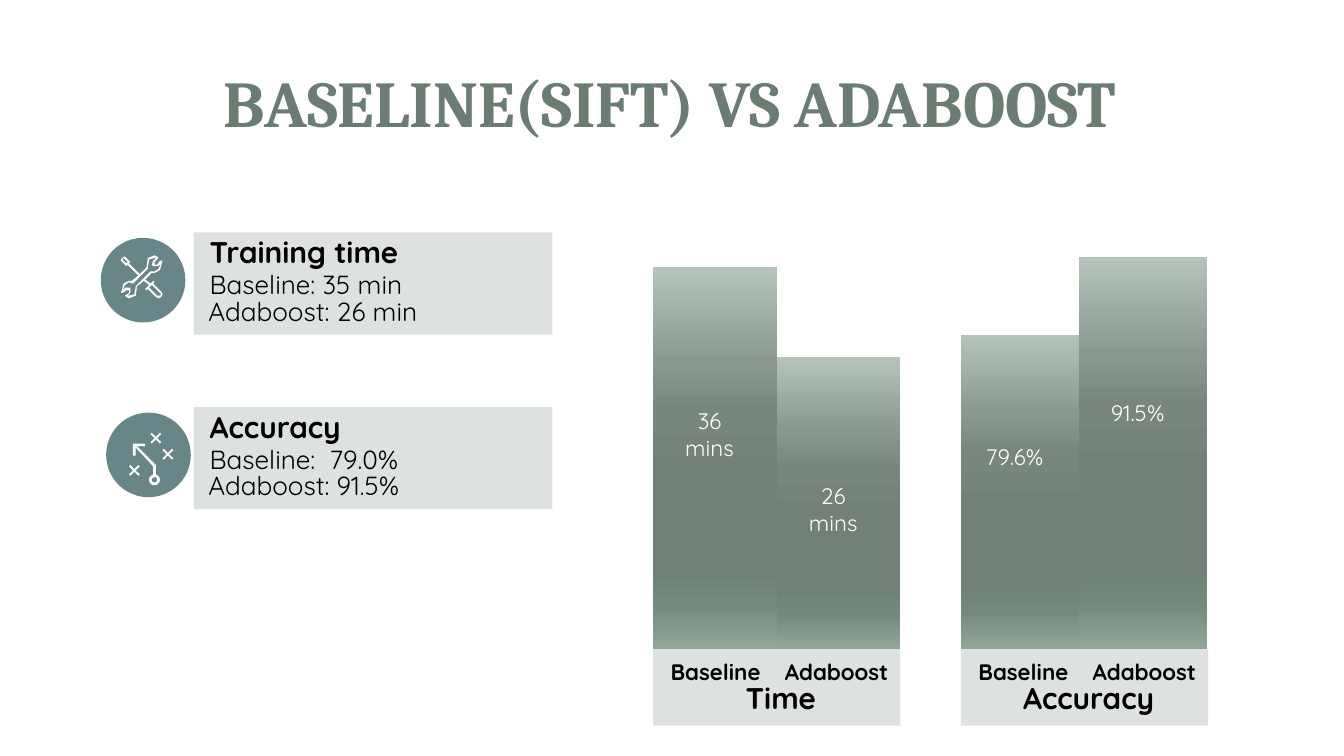
from math import cos, sin, pi
from lxml.etree import SubElement
from pptx import Presentation
from pptx.dml.color import RGBColor
from pptx.enum.shapes import MSO_SHAPE as Kind
from pptx.enum.text import MSO_ANCHOR as Anchor, PP_ALIGN as Align
from pptx.oxml.ns import qn
from pptx.util import Inches, Pt

WHITE = RGBColor(0xFF, 0xFF, 0xFF)
BLACK = RGBColor(0, 0, 0)
GREEN = RGBColor(0x6B, 0x7D, 0x72)
TEAL = RGBColor(0x68, 0x86, 0x87)
PALE = RGBColor(0xBE, 0xC7, 0xC2)
STOPS = [(0, RGBColor(0xB6, 0xC3, 0xBB)), (25, RGBColor(0x8B, 0x98, 0x90)),
         (38, RGBColor(0x79, 0x86, 0x7E)), (55, RGBColor(0x72, 0x80, 0x78)),
         (80, RGBColor(0x70, 0x81, 0x76)), (88, RGBColor(0x75, 0x88, 0x7C)),
         (100, RGBColor(0x91, 0xA7, 0x9A))]
BASE = 4.83  # foot of the bars
UNIT = 1000  # freeform steps to the inch

# Widescreen, 16 to 9
prs = Presentation()
prs.slide_width = Inches(10)
prs.slide_height = Inches(10) * 9 // 16
slide = prs.slides.add_slide(prs.slide_layouts[6])
shapes = slide.shapes


def plain(shape, color, alpha=100):
    """Flat fill, no line, no shadow."""
    shape.shadow.inherit = False
    shape.line.fill.background()
    shape.fill.solid()
    shape.fill.fore_color.rgb = color
    if alpha < 100:
        tint = shape._element.spPr.find(qn("a:solidFill"))[0]
        SubElement(tint, qn("a:alpha")).set("val", str(alpha * 1000))
    return shape


def write(shape, lines, color, font="Quicksand", anchor=Anchor.MIDDLE, top=0):
    """Lines are (text, size, bold, align, left indent in inches)."""
    frame = shape.text_frame
    frame.word_wrap = True
    frame.vertical_anchor = anchor
    frame.margin_left = frame.margin_right = frame.margin_bottom = 0
    frame.margin_top = Inches(top)
    frame.text = "\n".join(line[0] for line in lines)
    for para, (_, size, bold, align, left) in zip(frame.paragraphs, lines):
        para.alignment = align
        if left:
            para.line_spacing = 0.85
            para._p.get_or_add_pPr().set("marL", str(Inches(left)))
        for run in para.runs:
            run.font.name, run.font.size = font, Pt(size)
            run.font.bold = bold
            run.font.color.rgb = color
    return frame.paragraphs


# Title
title = shapes.add_textbox(Inches(0.47), Inches(0.33), Inches(9.03), Inches(0.85))
write(title, [("BASELINE(SIFT) VS ADABOOST", 35, True, Align.CENTER, 0)], GREEN, "Cambria")

# Result cards with round badges
cards = [(1.73, 0.75, 1.77, "Training time", "Baseline: 35 min", "26 min"),
         (3.03, 0.79, 3.07, "Accuracy", "Baseline:  79.0%", "91.5%")]
for y, left, top, head, old, new in cards:
    plain(shapes.add_shape(Kind.OVAL, Inches(left), Inches(top),
                           Inches(0.63), Inches(0.63)), TEAL)
    card = plain(shapes.add_shape(Kind.RECTANGLE, Inches(1.44), Inches(y),
                                  Inches(2.67), Inches(0.76)), PALE, 52)
    paras = write(card, [(head, 16, True, Align.LEFT, 0.12),
                         (old, 14, False, Align.LEFT, 0.12),
                         (f"Adaboost: {new}", 14, False, Align.LEFT, 0.11)],
                  BLACK, anchor=Anchor.TOP, top=0.05)
    paras[1].space_before = Pt(2)

# Tools icon: outline, then the holes in driver, wrench and handle
tools = [
    [(1.2, 2.17), (1.14, 2.11), (1.15, 2.1), (1.14, 2.09), (1.12, 2.11), (1.08, 2.08),
     (1.13, 2.03), (1.15, 2.03), (1.19, 2.01), (1.21, 1.94), (1.19, 1.94), (1.17, 1.97),
     (1.15, 1.97), (1.15, 1.95), (1.18, 1.92), (1.17, 1.91), (1.15, 1.9), (1.1, 1.92),
     (1.09, 1.99), (1.04, 2.04), (0.96, 1.96), (0.97, 1.95), (0.93, 1.91), (0.92, 1.91),
     (0.9, 1.93), (0.9, 1.94), (0.94, 1.98), (0.95, 1.97), (1.03, 2.05), (0.98, 2.09),
     (0.96, 2.09), (0.92, 2.11), (0.9, 2.18), (0.91, 2.18), (0.94, 2.16), (0.96, 2.16),
     (0.96, 2.18), (0.93, 2.2), (0.94, 2.21), (0.96, 2.22), (1.01, 2.2), (1.02, 2.13),
     (1.07, 2.09), (1.11, 2.12), (1.08, 2.15), (1.09, 2.16), (1.1, 2.15), (1.16, 2.21),
     (1.18, 2.22), (1.2, 2.21), (1.21, 2.19)],
    [(0.94, 1.96), (0.91, 1.93), (0.92, 1.92), (0.95, 1.95)],
    [(1.01, 2.13), (1, 2.19), (0.96, 2.2), (0.95, 2.2), (0.97, 2.18), (0.97, 2.14),
     (0.93, 2.14), (0.91, 2.16), (0.93, 2.12), (0.96, 2.1), (0.99, 2.11), (1.1, 2),
     (1.1, 1.99), (1.11, 1.93), (1.15, 1.92), (1.16, 1.92), (1.14, 1.94), (1.13, 1.97),
     (1.14, 1.98), (1.17, 1.98), (1.18, 1.98), (1.2, 1.96), (1.18, 2), (1.15, 2.02),
     (1.12, 2.02)],
    [(1.19, 2.2), (1.17, 2.2), (1.11, 2.14), (1.13, 2.12), (1.19, 2.18), (1.2, 2.19)],
]

# Tactics icon: bent arrow, ring and three crosses
tactics = [[(1.14, 3.53), (1.14, 3.47), (1.01, 3.33), (1.01, 3.39), (0.99, 3.39),
            (0.99, 3.3), (1.08, 3.3), (1.08, 3.32), (1.02, 3.32), (1.16, 3.46), (1.16, 3.53)]]
for r in (0.04, 0.02):
    tactics.append([(1.15 + r * cos(k * pi / 12), 3.57 + r * sin(k * pi / 12))
                    for k in range(24)])
arm = [(0, -0.01), (0.03, -0.04), (0.04, -0.03)]
for x, y in [(1, 3.5), (1.25, 3.38), (1.16, 3.26)]:
    cross = []
    for turn in range(4):
        c, s = round(cos(turn * pi / 2)), round(sin(turn * pi / 2))
        cross += [(x + c * u - s * v, y + s * u + c * v) for u, v in arm]
    tactics.append(cross)

for icon in (tools, tactics):
    loops = [[(x * UNIT, y * UNIT) for x, y in loop] for loop in icon]
    pen = shapes.build_freeform(*loops[0][0], scale=Inches(1) / UNIT)
    for loop in loops:
        pen.move_to(*loop[0])
        pen.add_line_segments(loop[1:], close=True)
    plain(pen.convert_to_shape(), WHITE)

# Gradient bars: left, top, width, label, label middle
bars = [(4.86, 1.99, 0.92, ["36", "mins"], 3.23), (5.78, 2.66, 0.92, ["26", "mins"], 3.79),
        (7.15, 2.49, 0.88, ["79.6%"], 3.4), (8.03, 1.91, 0.95, ["91.5%"], 3.07)]
for x, y, w, words, mid in bars:
    bar = plain(shapes.add_shape(Kind.RECTANGLE, Inches(x), Inches(y),
                                 Inches(w), Inches(BASE - y)), WHITE)
    bar.fill.gradient()
    bar.fill.gradient_angle = 270
    stops = bar._element.spPr.find(qn("a:gradFill")).find(qn("a:gsLst"))
    for old in list(stops):
        stops.remove(old)
    for pos, color in STOPS:
        stop = SubElement(stops, qn("a:gs"), pos=str(pos * 1000))
        SubElement(stop, qn("a:srgbClr"), val=str(color))
    high = 0.2 * len(words)
    label = shapes.add_textbox(Inches(x + w / 2 - 0.34), Inches(mid - high / 2),
                               Inches(0.6), Inches(high))
    write(label, [(word, 12, False, Align.CENTER, 0) for word in words], WHITE)

# Plinths under the bar pairs
for x, name in [(4.86, "Time"), (7.15, "Accuracy")]:
    foot = plain(shapes.add_shape(Kind.RECTANGLE, Inches(x), Inches(BASE),
                                  Inches(1.84), Inches(0.57)), PALE, 52)
    paras = write(foot, [("Baseline\tAdaboost", 12, True, Align.LEFT, 0.13),
                         (name, 16, True, Align.CENTER, 0.06)],
                  BLACK, anchor=Anchor.TOP, top=0.1)
    tabs = SubElement(paras[0]._p.get_or_add_pPr(), qn("a:tabLst"))
    SubElement(tabs, qn("a:tab"), pos=str(Inches(0.85)), algn="l")

prs.save("out.pptx")
